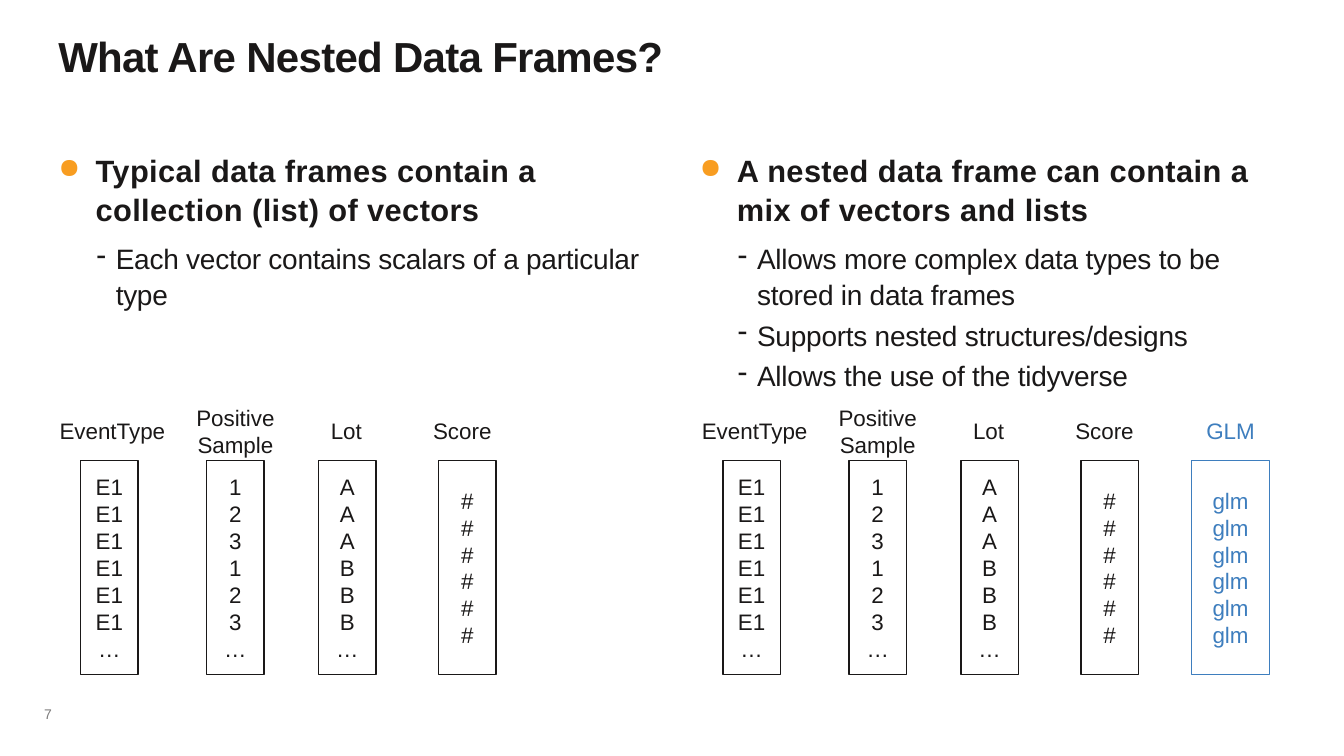
from lxml import etree
from pptx import Presentation
from pptx import util as u
from pptx.dml.color import RGBColor
from pptx.enum import shapes, text
from pptx.oxml import ns

INK, BLUE, ORANGE, GREY = "1A1818", "3E7EBE", "F89D21", "7D7C7C"

HEADING = dict(
    font=dict(size=u.Pt(22), bold=True), spacing=30,
    layout=dict(line_spacing=1.05, space_after=u.Pt(9)),
    indent=(0.37, -0.37), bullet=("●", ORANGE, 90), level=0)
DETAIL = dict(
    font=dict(size=u.Pt(20), bold=False), spacing=-20,
    layout=dict(line_spacing=1.05, space_after=u.Pt(4)),
    indent=(0.57, -0.19), bullet=("-", INK, 100), level=1)

VECTORS = [
    ("EventType", 0, 1.37, 0.37, 0.57, ["E1"] * 6 + ["…"], INK),
    ("Positive\nSample", 1.38, 1.05, 1.62, 0.57, list("123123…"), INK),
    ("Lot", 2.73, 0.55, 2.73, 0.57, list("AAABBB…"), INK),
    ("Score", 3.71, 0.89, 3.92, 0.57, ["#"] * 6, INK),
]
MODELS = ("GLM", 5.02, 0.77, 5.02, 0.77, ["glm"] * 6, BLUE)


def rgb(value):
    """Turn a hex string into a colour."""
    return RGBColor.from_string(value)


def apply(target, values):
    """Set every attribute named in values."""
    for name, value in values.items():
        setattr(target, name, value)


def style_runs(paragraph, color, spacing=0, **font):
    """Give the runs of a paragraph their font, colour and letter spacing."""
    for run in paragraph.runs:
        apply(run.font, dict(name="Arial", **font))
        run.font.color.rgb = rgb(color)
        if spacing:
            run._r.get_or_add_rPr().set("spc", str(spacing))


def add_bullet(paragraph, mark, color, percent):
    """Put a coloured bullet on a paragraph."""
    properties = paragraph._p.get_or_add_pPr()
    tint = etree.SubElement(properties, ns.qn("a:buClr"))
    etree.SubElement(tint, ns.qn("a:srgbClr")).set("val", color)
    etree.SubElement(properties, ns.qn("a:buSzPct")).set("val", str(percent * 1000))
    etree.SubElement(properties, ns.qn("a:buChar")).set("char", mark)


def add_text_frame(slide, *box):
    """Add a wrapping text box and return its frame."""
    frame = slide.shapes.add_textbox(*map(u.Inches, box)).text_frame
    frame.word_wrap = True
    return frame


def add_line(slide, box, wording, color, **style):
    """Add a text box with one paragraph and return its frame."""
    frame = add_text_frame(slide, *box)
    paragraph = frame.paragraphs[0]
    paragraph.text = wording
    style_runs(paragraph, color, **style)
    return frame


def add_points(slide, box, heading, details):
    """Add a bold bulleted heading with its dashed details."""
    frame = add_text_frame(slide, *box)
    points = [(heading, HEADING)] + [(detail, DETAIL) for detail in details]
    for number, (wording, style) in enumerate(points):
        paragraph = frame.add_paragraph() if number else frame.paragraphs[0]
        paragraph.text = wording
        paragraph.level = style["level"]
        margin, hanging = style["indent"]
        properties = paragraph._p.get_or_add_pPr()
        properties.set("marL", str(u.Inches(margin)))
        properties.set("indent", str(u.Inches(hanging)))
        add_bullet(paragraph, *style["bullet"])
        apply(paragraph, style["layout"])
        style_runs(paragraph, INK, style["spacing"], **style["font"])


def add_vector(slide, box, values, color):
    """Add an outlined column of centred values."""
    column = slide.shapes.add_shape(
        shapes.MSO_SHAPE.RECTANGLE, *map(u.Inches, box))
    column.shadow.inherit = False
    column.fill.background()
    column.line.color.rgb = rgb(color)
    column.line.width = u.Pt(1)
    frame = column.text_frame
    apply(frame, dict(word_wrap=False, vertical_anchor=text.MSO_ANCHOR.MIDDLE))
    for number, value in enumerate(values):
        paragraph = frame.add_paragraph() if number else frame.paragraphs[0]
        paragraph.text = value
        paragraph.alignment = text.PP_ALIGN.CENTER
        style_runs(paragraph, color, size=u.Pt(16))


def add_data_frame(slide, left, top, columns):
    """Draw a data frame as labelled columns, placed from its top left corner."""
    for label, label_left, label_width, box_left, width, values, color in columns:
        two_lines = "\n" in label
        label_top, height = (top, 0.64) if two_lines else (top + 0.13, 0.37)
        frame = add_line(slide, (left + label_left, label_top, label_width, height),
                         label, color, size=u.Pt(16))
        frame.paragraphs[0].alignment = text.PP_ALIGN.CENTER
        add_vector(slide, (left + box_left, top + 0.61, width, 2.12), values, color)


def build_slide(slide):
    """Place the title, both halves and the slide number."""
    title = add_line(slide, (0.48, 0.2, 12.36, 1.05), "What Are Nested Data Frames?",
                     INK, spacing=-50, size=u.Pt(30), bold=True)
    title.margin_top = u.Inches(0.1)
    add_points(slide, (0.48, 1.44, 6, 1.9),
               "Typical data frames contain a collection (list) of vectors",
               ["Each vector contains scalars of a particular type"])
    add_points(slide, (6.84, 1.44, 6, 2.5),
               "A nested data frame can contain a mix of vectors and lists",
               ["Allows more complex data types to be stored in data frames",
                "Supports nested structures/designs",
                "Allows the use of the tidyverse"])
    add_data_frame(slide, 0.43, 3.96, VECTORS)
    add_data_frame(slide, 6.8, 3.96, VECTORS + [MODELS])
    add_line(slide, (0.34, 6.95, 1.19, 0.27), "7", GREY, size=u.Pt(10))


def main():
    """Create and save the presentation."""
    deck = Presentation()
    apply(deck, dict(slide_width=u.Inches(13.33), slide_height=u.Inches(7.5)))
    build_slide(deck.slides.add_slide(deck.slide_layouts[6]))
    deck.save("out.pptx")


if __name__ == "__main__":
    main()
